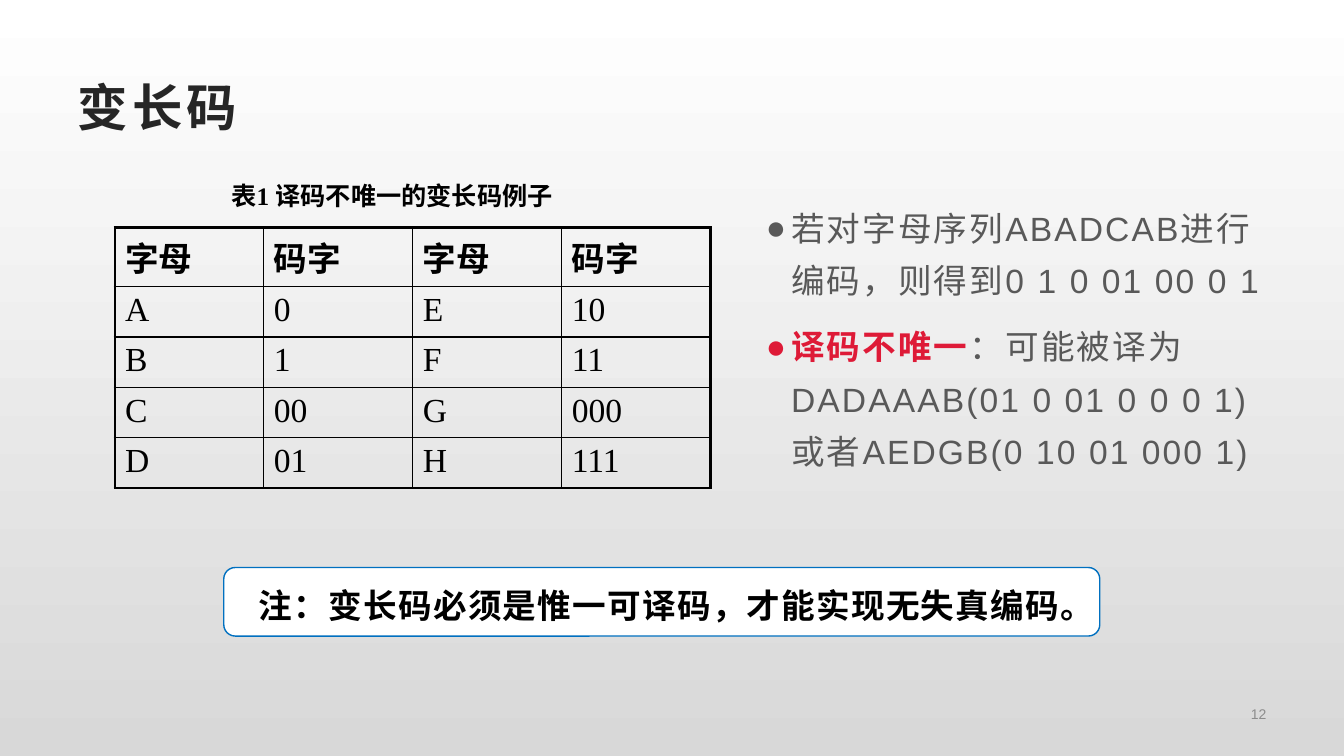
from typing import NamedTuple

from lxml.etree import SubElement
from pptx import Presentation
from pptx.dml.color import RGBColor
from pptx.enum.shapes import MSO_SHAPE as Preset
from pptx.enum.text import MSO_ANCHOR as Anchor, PP_ALIGN as Align
from pptx.oxml import parse_xml
from pptx.oxml.ns import nsdecls, qn
from pptx.util import Emu, Inches, Pt

SANS, SERIF, CJK = "Arial", "Times New Roman", "Noto Sans CJK SC"
BLACK, WHITE, GREY = "000000", "FFFFFF", "595959"
THIN, THICK = 1, 2.25


class Area(NamedTuple):
    """A place in hundredths of the slide's width and height."""
    left: float
    top: float
    width: float
    height: float


class Run(NamedTuple):
    """A piece of text with its look."""
    text: str
    size: float
    font: str = SANS
    colour: str = BLACK
    bold: bool = False
    spacing: float = 0


class TextBlock(NamedTuple):
    """A text box, its paragraphs and their format."""
    area: Area
    paragraphs: list
    layout: dict


def rgb(value: str) -> RGBColor:
    return RGBColor.from_string(value)


def place(area: Area) -> list:
    column, row = deck.slide_width / 100, deck.slide_height / 100
    return [Emu(round(share * unit)) for share, unit in zip(area, (column, row) * 2)]


def write(frame, paragraphs: list, *, anchor=Anchor.TOP, align=Align.LEFT,
          line_spacing=None, after=None, indent=None) -> None:
    frame.word_wrap = True
    frame.vertical_anchor = anchor
    for index, runs in enumerate(paragraphs):
        paragraph = frame.add_paragraph() if index else frame.paragraphs[0]
        paragraph.alignment = align
        if line_spacing:
            paragraph.line_spacing = line_spacing
        if after:
            paragraph.space_after = Pt(after)
        if indent:
            properties = paragraph._p.get_or_add_pPr()
            properties.set("marL", str(Inches(indent)))
            properties.set("indent", str(-Inches(indent)))
            SubElement(properties, qn("a:buFont"), typeface=SANS)
            SubElement(properties, qn("a:buChar"), char="●")
        for piece in runs:
            run = paragraph.add_run()
            run.text = piece.text
            run.font.size = Pt(piece.size)
            run.font.name = piece.font
            run.font.bold = piece.bold
            run.font.color.rgb = rgb(piece.colour)
            run_properties = run.font._element
            SubElement(run_properties, qn("a:ea"), typeface=CJK)
            if piece.spacing:
                run_properties.set("spc", str(round(piece.spacing * 100)))


def add_text(block: TextBlock) -> None:
    write(slide.shapes.add_textbox(*place(block.area)).text_frame,
          block.paragraphs, **block.layout)


def add_borders(cell, widths: dict) -> None:
    properties = cell._tc.get_or_add_tcPr()
    for index, (side, width) in enumerate(widths.items()):
        properties.insert(index, parse_xml(
            f'<a:ln{side} {nsdecls("a")} w="{Pt(width)}"><a:solidFill>'
            f'<a:srgbClr val="{BLACK}"/></a:solidFill></a:ln{side}>'))


def add_code_table(area: Area, rows: list) -> None:
    last_row, last_column = len(rows) - 1, len(rows[0]) - 1
    table = slide.shapes.add_table(len(rows), len(rows[0]), *place(area)).table
    table.first_row = table.horz_banding = False
    for r, row in enumerate(rows):
        for c, text in enumerate(row):
            cell = table.cell(r, c)
            cell.fill.background()
            font = SERIF if r else SANS
            write(cell.text_frame, [[Run(text, 24, font, bold=r == 0)]])
            add_borders(cell, {"L": THIN if c else THICK,
                               "R": THICK if c == last_column else THIN,
                               "T": THIN if r else THICK,
                               "B": THICK if r == last_row else THIN})


def add_note_panel(area: Area) -> None:
    panel = slide.shapes.add_shape(Preset.ROUNDED_RECTANGLE, *place(area))
    panel.shadow.inherit = False
    panel.fill.solid()
    panel.fill.fore_color.rgb = rgb(WHITE)
    panel.line.color.rgb = rgb("0070C0")
    panel.line.width = Pt(1)


def paint_background() -> None:
    fill = slide.background.fill
    fill.gradient()
    fill.gradient_angle = 270
    for stop, colour, position in zip(fill.gradient_stops, (WHITE, "D8D8D8"), (0, 1)):
        stop.color.rgb = rgb(colour)
        stop.position = position


CODES = [
    ["字母", "码字", "字母", "码字"],
    ["A", "0", "E", "10"],
    ["B", "1", "F", "11"],
    ["C", "00", "G", "000"],
    ["D", "01", "H", "111"],
]

TITLE = TextBlock(Area(5.03, 8.93, 90, 10.27),
                  [[Run("变长码", 36, colour="262626", bold=True, spacing=3)]],
                  {"anchor": Anchor.MIDDLE})
CAPTION = TextBlock(Area(16.05, 23.2, 27.23, 5.33),
                    [[Run(" 表", 18, CJK, bold=True),
                      Run("1 译码不唯一的变长码例子", 18, SERIF, bold=True)]], {})
EXAMPLES = TextBlock(
    Area(56.25, 25.2, 38.7, 43.2),
    [[Run("若对字母序列ABADCAB进行编码，则得到0 1 0 01 00 0 1", 24, colour=GREY, spacing=1.5)],
     [Run("译码不唯一", 24, colour="DE1A37", bold=True, spacing=1.5),
      Run("：可能被译为DADAAAB(01 0 01 0 0 0 1)或者AEDGB(0 10 01 000 1)", 24,
          colour=GREY, spacing=1.5)]],
    {"line_spacing": 1.3, "after": 10, "indent": 0.25})
NOTE = TextBlock(Area(18.53, 75.6, 61.13, 7.73),
                 [[Run("注：变长码必须是惟一可译码，才能实现无失真编码。", 24, SERIF, bold=True)]],
                 {"align": Align.JUSTIFY, "line_spacing": 1.2})
PAGE_NUMBER = TextBlock(Area(72.83, 92.13, 22.13, 4.67),
                        [[Run("12", 10, colour="8C8C8C")]],
                        {"anchor": Anchor.MIDDLE, "align": Align.RIGHT})

deck = Presentation()
deck.slide_width, deck.slide_height = Inches(13.33), Inches(7.5)
slide = deck.slides.add_slide(deck.slide_layouts[6])
paint_background()
add_code_table(Area(8.55, 30.13, 44.33, 33.33), CODES)
add_note_panel(Area(16.65, 75.07, 65.18, 9.07))
for text_block in (TITLE, CAPTION, EXAMPLES, NOTE, PAGE_NUMBER):
    add_text(text_block)
deck.save("out.pptx")
